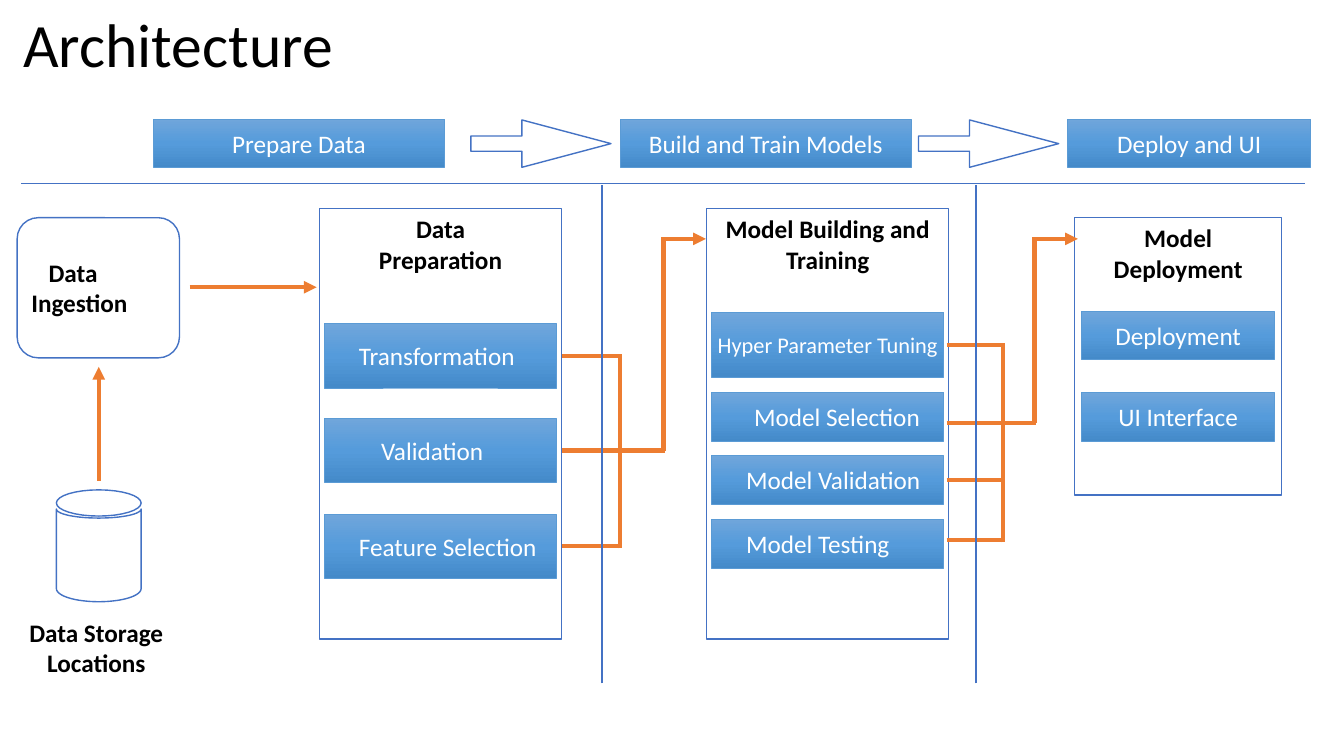
"""Build the machine learning architecture slide."""
from copy import deepcopy
from dataclasses import dataclass
from math import cos, pi, sin

from lxml.etree import SubElement
from pptx import Presentation
from pptx.dml.color import RGBColor
from pptx.enum.shapes import MSO_CONNECTOR, MSO_SHAPE
from pptx.enum.text import MSO_ANCHOR, MSO_AUTO_SIZE, PP_ALIGN
from pptx.oxml.ns import qn
from pptx.util import Emu, Pt

LEFT, CENTER = PP_ALIGN.LEFT, PP_ALIGN.CENTER
TOP, MIDDLE = MSO_ANCHOR.TOP, MSO_ANCHOR.MIDDLE

TITLE = ("Architecture", (18, 5, 1151, 84))
PHASES = [("Prepare Data", 152, 289), ("Build and Train Models", 615, 289),
          ("Deploy and UI", 1059, 241)]
PHASE_TOP, PHASE_HEIGHT = 118, 48
PHASE_ARROWS = [(467, 119, 139, 47), (911, 119, 139, 47)]
INGESTION = (["Data", "Ingestion"], (17, 216, 161, 139))
STORAGE = (["Data Storage", "Locations"], (24, 607, 143, 68))
DRUM = {"center": 98, "radius": 42, "lid": 499, "rim": 505, "base": 584}
PANELS = [
    (["Data", "Preparation"], (317, 207, 240, 427)),
    (["Model Building and Training"], (701, 207, 240, 427)),
    (["Model Deployment"], (1066, 216, 205, 275)),
]
STEPS = [
    (322, 230, [("Transformation", 321, 64, 34), ("Validation", 415, 64, 56),
                ("Feature Selection", 510, 64, 34)]),
    (706, 230, [("Hyper Parameter Tuning", 310, 64, None), ("Model Selection", 389, 49, 42),
                ("Model Validation", 452, 48, 34), ("Model Testing", 515, 49, 34)]),
    (1073, 191, [("Deployment", 309, 48, None), ("UI Interface", 389, 49, None)]),
]
FLOWS = [(98, 477, 98, 364), (188, 285, 314, 285)]
BUSES = [
    {"start": 557, "branches": [353, 447, 542], "trunk": 615, "exit": 447,
     "riser": 658, "entry": 237, "target": 700},
    {"start": 939, "branches": [342, 420, 476, 536], "trunk": 995, "exit": 420,
     "riser": 1026, "entry": 237, "target": 1069},
]
DIVIDERS = [(21, 182, 1294, 182), (597, 678, 597, 184), (968, 678, 968, 184)]
LAP = 2


@dataclass(frozen=True)
class Theme:
    """Colours, font and type sizes."""
    font: str = "Calibri"
    ink: str = "000000"
    paper: str = "FFFFFF"
    outline: str = "4472C4"
    flow: str = "ED7D31"
    step_edge: str = "5B9BD5"
    step_fill: tuple = ((0, "70A6DB"), (0.5, "559BDB"), (1, "448AC9"))
    title: int = 44
    body: int = 18
    small: int = 16


THEME = Theme()


def px(value):
    return Emu(round(value * 9144))


def rgb(color):
    return RGBColor.from_string(color)


def assign(target, values):
    for name, value in values.items():
        setattr(target, name, value)


def write(frame, lines, size=THEME.body, color=THEME.ink, bold=False, align=CENTER,
          anchor=TOP, inset=5, wrap=True):
    assign(frame, {"word_wrap": wrap, "auto_size": MSO_AUTO_SIZE.NONE,
                   "vertical_anchor": anchor, "margin_left": px(inset),
                   "margin_right": px(5), "margin_top": px(5), "margin_bottom": px(5)})
    for index, line in enumerate(lines):
        paragraph = frame.add_paragraph() if index else frame.paragraphs[0]
        paragraph.alignment = align
        run = paragraph.add_run()
        run.text = line
        assign(run.font, {"name": THEME.font, "size": Pt(size), "bold": bold})
        run.font.color.rgb = rgb(color)


def outline(shape, color=THEME.outline, weight=1):
    shape.shadow.inherit = False
    shape.line.color.rgb = rgb(color)
    shape.line.width = Pt(weight)


def plain(shapes, kind, box):
    shape = shapes.add_shape(kind, *map(px, box))
    shape.fill.solid()
    shape.fill.fore_color.rgb = rgb(THEME.paper)
    outline(shape)
    return shape


def step(shapes, label, box, inset=None, size=THEME.body):
    bar = shapes.add_shape(MSO_SHAPE.RECTANGLE, *map(px, box))
    bar.fill.gradient()
    bar.fill.gradient_angle = 270
    first = bar._element.spPr.find(".//" + qn("a:gs"))
    first.addnext(deepcopy(first))
    for stop, (position, color) in zip(bar.fill.gradient_stops, THEME.step_fill):
        stop.position = position
        stop.color.rgb = rgb(color)
    outline(bar, THEME.step_edge, 0.5)
    write(bar.text_frame, [label], size, THEME.paper, anchor=MIDDLE,
          align=LEFT if inset else CENTER, inset=inset or 5)


def link(shapes, ends, color=THEME.flow, weight=3, arrow=False):
    line = shapes.add_connector(MSO_CONNECTOR.STRAIGHT, *map(px, ends))
    line.line.color.rgb = rgb(color)
    line.line.width = Pt(weight)
    if arrow:
        SubElement(line.line._get_or_add_ln(), qn("a:tailEnd"), type="triangle")
    SubElement(line._element.spPr, qn("a:effectLst"))


def arc(middle, height, start, end, count=32):
    angles = [start + (end - start) * i / count for i in range(count + 1)]
    return [(px(DRUM["center"] + DRUM["radius"] * cos(a)), px(middle + height * sin(a)))
            for a in angles]


def drum(shapes):
    lid = arc(DRUM["lid"], 13, 0, 2 * pi)
    body = arc(DRUM["rim"], 9, 0, pi) + arc(DRUM["base"], 13, pi, 0)
    builder = shapes.build_freeform(*lid[0])
    builder.add_line_segments(lid[1:], close=True)
    builder.move_to(*body[0])
    builder.add_line_segments(body[1:], close=True)
    store = builder.convert_to_shape()
    store.fill.solid()
    store.fill.fore_color.rgb = rgb(THEME.paper)
    outline(store)


def bus(shapes, start, branches, trunk, exit, riser, entry, target):
    for y in branches:
        link(shapes, (start, y, trunk + LAP, y))
    link(shapes, (trunk, branches[-1] + LAP, trunk, branches[0] - LAP))
    link(shapes, (trunk, exit, riser + LAP, exit))
    link(shapes, (riser, exit, riser, entry))
    link(shapes, (riser - LAP, entry, target, entry), arrow=True)


def main():
    deck = Presentation()
    assign(deck, {"slide_width": px(1333), "slide_height": px(750)})
    slide = deck.slides.add_slide(deck.slide_layouts[5])
    shapes = slide.shapes

    heading, box = TITLE
    title = shapes.title
    assign(title, dict(zip(("left", "top", "width", "height"), map(px, box))))
    write(title.text_frame, [heading], THEME.title, align=LEFT, anchor=MIDDLE)
    title.text_frame.paragraphs[0].line_spacing = 0.9

    drum(shapes)
    lines, box = STORAGE
    write(shapes.add_textbox(*map(px, box)).text_frame, lines, bold=True, wrap=False)
    lines, box = INGESTION
    ingestion = plain(shapes, MSO_SHAPE.ROUNDED_RECTANGLE, box)
    ingestion.adjustments[0] = 0.15
    write(ingestion.text_frame, lines, bold=True, align=LEFT, anchor=MIDDLE, inset=8)
    data_line = ingestion.text_frame.paragraphs[0]
    data_line._p.get_or_add_pPr().set("marL", str(px(17)))
    for ends in FLOWS:
        link(shapes, ends, arrow=True)

    for lines, box in PANELS:
        write(plain(shapes, MSO_SHAPE.RECTANGLE, box).text_frame, lines, bold=True)
    for left, width, steps in STEPS:
        for label, top, height, inset in steps:
            size = THEME.small if label.startswith("Hyper") else THEME.body
            step(shapes, label, (left, top, width, height), inset, size)
    for route in BUSES:
        bus(shapes, **route)
    for ends in DIVIDERS:
        link(shapes, ends, THEME.outline, 1)

    for label, left, width in PHASES:
        step(shapes, label, (left, PHASE_TOP, width, PHASE_HEIGHT))
    for box in PHASE_ARROWS:
        arrow = plain(shapes, MSO_SHAPE.RIGHT_ARROW, box)
        arrow.adjustments[0], arrow.adjustments[1] = 0.32, 1.88
    deck.save("out.pptx")


if __name__ == "__main__":
    main()
